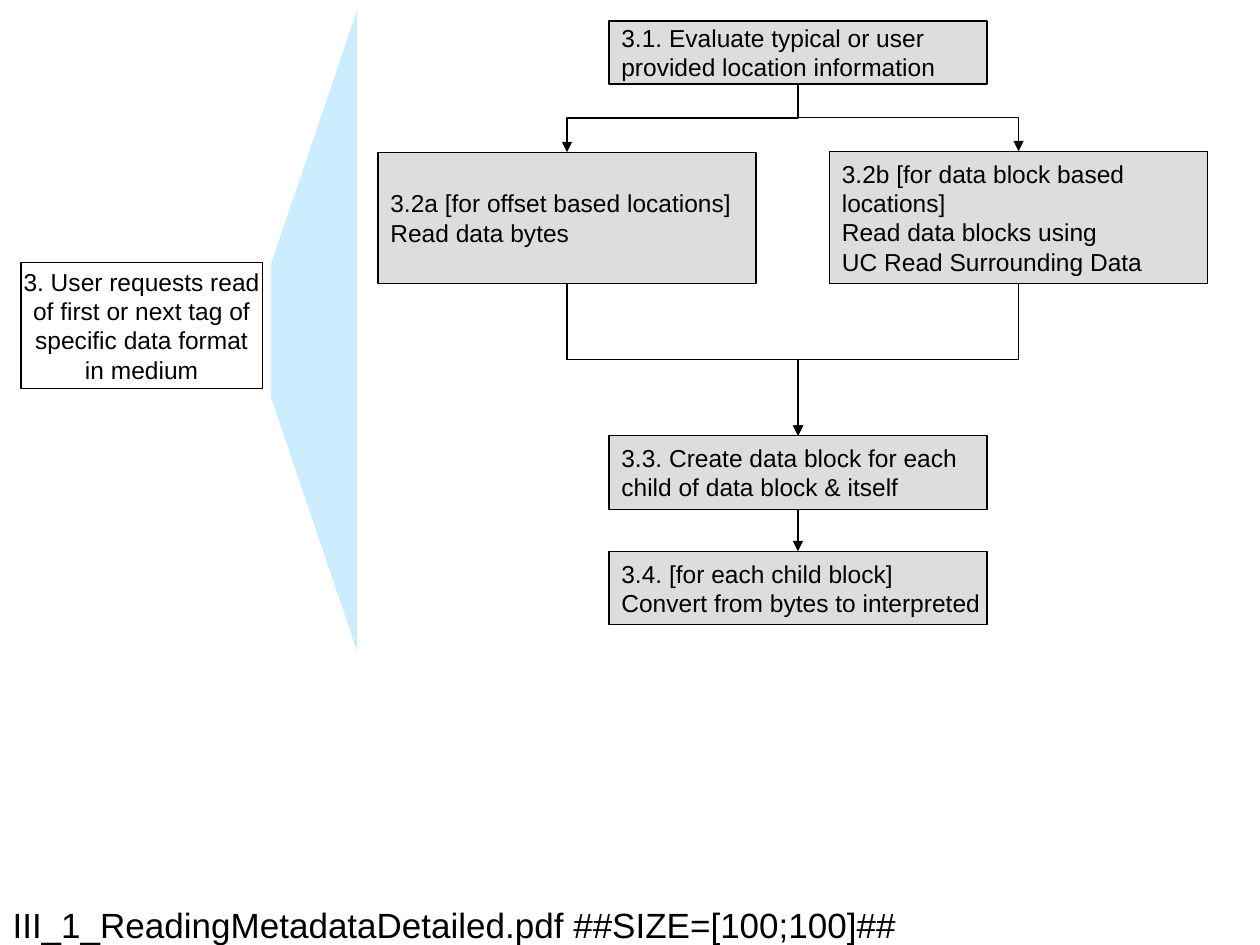
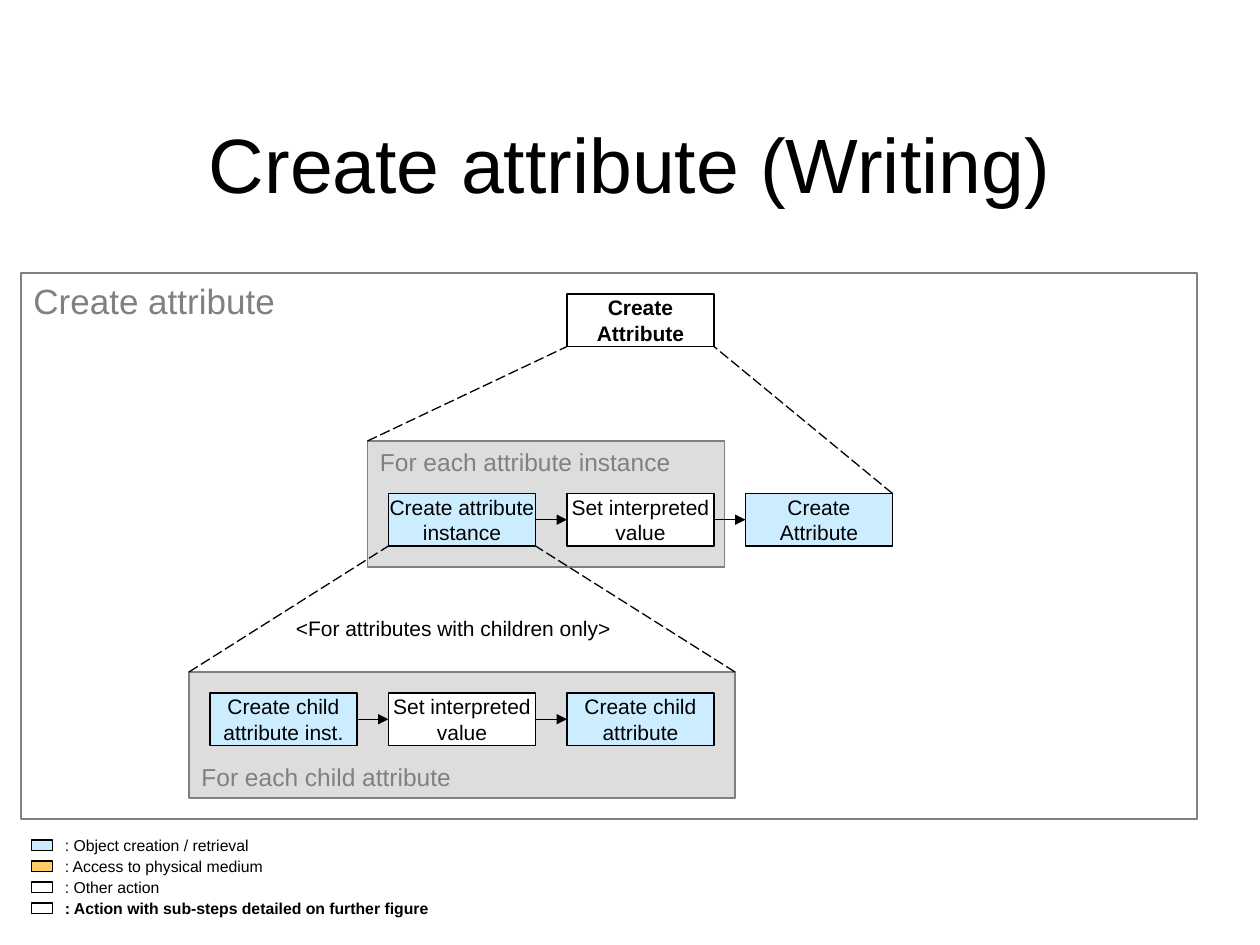
from copy import deepcopy
from dataclasses import dataclass

from lxml import etree
from pptx import Presentation
from pptx import util as u
from pptx.dml.color import RGBColor
from pptx.enum import dml, shapes, text
from pptx.oxml.ns import qn

PX = u.Inches(1) // 120
LEFT, CENTER = text.PP_ALIGN.LEFT, text.PP_ALIGN.CENTER
TOP, MIDDLE, BOTTOM = (text.MSO_ANCHOR.TOP, text.MSO_ANCHOR.MIDDLE,
                       text.MSO_ANCHOR.BOTTOM)


@dataclass(frozen=True)
class Theme:
    font: str = "Arial"
    black: str = "000000"
    white: str = "FFFFFF"
    gray: str = "808080"
    panel: str = "DDDDDD"
    blue: str = "CCECFF"
    orange: str = "FFCC66"
    title: int = 44
    heading: int = 20
    body: int = 14
    step: int = 12
    legend: int = 9
    line: float = 0.75


T = Theme()


def rgb(color):
    return RGBColor.from_string(color)


def place(sp, x, y, w, h):
    sp.left, sp.top, sp.width, sp.height = (v * PX for v in (x, y, w, h))


def write(tf, content, size=T.body, color=T.black, bold=False, align=LEFT,
          anchor=MIDDLE, wrap=False):
    """Fill a text frame; \\n starts a paragraph and \\v breaks a line."""
    tf.text = content
    tf.word_wrap = wrap
    tf.auto_size = text.MSO_AUTO_SIZE.NONE
    tf.vertical_anchor = anchor
    for p in tf.paragraphs:
        p.alignment = align
        for r in p.runs:
            r.font.name, r.font.size, r.font.bold = T.font, u.Pt(size), bold
            r.font.color.rgb = rgb(color)
        for br in p._p.findall(qn("a:br")):
            br.append(deepcopy(p.runs[0]._r.rPr))


def title(s, content, bounds, **fmt):
    sp = s.shapes.title
    place(sp, *bounds)
    write(sp.text_frame, content, wrap=True, **fmt)


def paint(sp, fill, line):
    sp.shadow.inherit = False
    if fill:
        sp.fill.solid()
        sp.fill.fore_color.rgb = rgb(fill)
    else:
        sp.fill.background()
    if line:
        sp.line.color.rgb = rgb(line)
        sp.line.width = u.Pt(T.line)
    else:
        sp.line.fill.background()


def box(s, bounds, content="", fill=None, line=T.black, **fmt):
    sp = s.shapes.add_shape(shapes.MSO_SHAPE.RECTANGLE, *(v * PX for v in bounds))
    paint(sp, fill, line)
    if content:
        write(sp.text_frame, content, **fmt)
    return sp


def label(s, bounds, content, **fmt):
    sp = s.shapes.add_textbox(*(v * PX for v in bounds))
    write(sp.text_frame, content, **fmt)


def polygon(s, points, fill):
    fb = s.shapes.build_freeform(*points[0], scale=PX)
    fb.add_line_segments(points[1:], close=True)
    paint(fb.convert_to_shape(), fill, None)


def connector(s, kind, ends=(0, 0, 0, 0), dash=None, arrow=False):
    c = s.shapes.add_connector(kind, *ends)
    c.line.color.rgb = rgb(T.black)
    c.line.width = u.Pt(T.line)
    if dash:
        c.line.dash_style = dash
    spPr = c._element.spPr
    if arrow:
        etree.SubElement(spPr.find(qn("a:ln")), qn("a:tailEnd"), type="triangle")
    etree.SubElement(spPr, qn("a:effectLst"))
    return c


def arrow(s, start, end, sides=(3, 1), kind=shapes.MSO_CONNECTOR.STRAIGHT):
    c = connector(s, kind, arrow=True)
    c.begin_connect(start, sides[0])
    c.end_connect(end, sides[1])
    return c


def elbow_down(s, start, end):
    """Arrow from a bottom side to a top side, with a level middle part."""
    c = arrow(s, start, end, (2, 0), shapes.MSO_CONNECTOR.ELBOW)
    x1, y1, x2, y2 = c.begin_x, c.begin_y, c.end_x, c.end_y
    rise, run = y2 - y1, abs(x2 - x1)
    c.left, c.top = (x1 + x2 - rise) // 2, (y1 + y2 - run) // 2
    c.width, c.height = rise, run
    rightward = x2 > x1
    xfrm = c._element.spPr.find(qn("a:xfrm"))
    xfrm.set("rot", str((270 if rightward else 90) * 60000))
    xfrm.set("flipH", str(int(rightward)))
    xfrm.set("flipV", "0")


def zoom_lines(s, parent, first, last):
    """Dashed lines from the parent's lower corners to the detail's upper ones."""
    bottom = parent.top + parent.height
    for ends in ((first.left, first.top, parent.left, bottom),
                 (last.left + last.width, last.top,
                  parent.left + parent.width, bottom)):
        connector(s, shapes.MSO_CONNECTOR.STRAIGHT, ends, dash=dml.MSO_LINE.LONG_DASH)


def step(s, column, y, content, fill=T.white, bold=False):
    return box(s, (200 + 170 * column, y, 140, 50), content, fill,
               size=T.step, bold=bold, align=CENTER)


def reading_slide(s):
    title(s, "III_1_ReadingMetadataDetailed.pdf ##SIZE=[100;100]##",
          (0, 860, 1200, 40), size=T.heading)
    box(s, (20, 250, 230, 120),
        "3. User requests read\vof first or next tag of\v"
        "specific data format\vin medium", align=CENTER)
    polygon(s, [(340, 10), (258, 252), (258, 378), (340, 620)], T.blue)

    evaluate, offset, block, create, convert = (
        box(s, (x, y, 360, h), content, T.panel) for x, y, h, content in (
            (580, 20, 60, "3.1. Evaluate typical or user\nprovided location information"),
            (360, 145, 125, "3.2a [for offset based locations]\vRead data bytes"),
            (790, 144, 126, "3.2b [for data block based\vlocations]\v"
                            "Read data blocks using\vUC Read Surrounding Data"),
            (580, 415, 70, "3.3. Create data block for each\vchild of data block & itself"),
            (580, 525, 70, "3.4. [for each child block]\vConvert from bytes to interpreted"),
        ))
    for branch in (offset, block):
        elbow_down(s, evaluate, branch)
        elbow_down(s, branch, create)
    arrow(s, create, convert, (2, 0))


def writing_slide(s):
    title(s, "Create attribute (Writing)", (90, 80, 1020, 150),
          size=T.title, align=CENTER)
    box(s, (20, 260, 1120, 520), "Create attribute", line=T.gray,
        size=T.heading, color=T.gray, anchor=TOP)

    instance_panel = box(s, (350, 420, 340, 120), "For each attribute instance",
                         T.panel, T.gray, color=T.gray, anchor=TOP)
    root = step(s, 2, 280, "Create\vAttribute", bold=True)
    instance = step(s, 1, 470, "Create attribute\vinstance", T.blue)
    value = step(s, 2, 470, "Set interpreted\vvalue")
    attribute = step(s, 3, 470, "Create\vAttribute", T.blue)
    zoom_lines(s, root, instance_panel, attribute)

    child_panel = box(s, (180, 640, 520, 120), "For each child attribute",
                      T.panel, T.gray, color=T.gray, anchor=BOTTOM)
    label(s, (270, 580, 324, 36), "<For attributes with children only>",
          size=T.step, anchor=TOP)
    zoom_lines(s, instance, child_panel, child_panel)
    child_instance = step(s, 0, 660, "Create child\vattribute inst.", T.blue)
    child_value = step(s, 1, 660, "Set interpreted\vvalue")
    child = step(s, 2, 660, "Create child\vattribute", T.blue)

    for first, second, third in ((instance, value, attribute),
                                 (child_instance, child_value, child)):
        arrow(s, first, second)
        arrow(s, second, third)

    legend = (
        (T.blue, 130, ": Object creation / retrieval", False),
        (T.orange, 250, ": Access to physical medium", False),
        (T.white, 230, ": Other action", False),
        (T.white, 350, ": Action with sub-steps detailed on further figure", True),
    )
    for i, (fill, width, meaning, bold) in enumerate(legend):
        box(s, (30, 800 + 20 * i, 20, 10), fill=fill)
        label(s, (50, 790 + 20 * i, width, 30), meaning, size=T.legend, bold=bold)


def main():
    prs = Presentation()
    prs.slide_width, prs.slide_height = 1200 * PX, 900 * PX
    title_only = prs.slide_layouts[5]
    for build in (reading_slide, writing_slide):
        build(prs.slides.add_slide(title_only))
    prs.save("out.pptx")


if __name__ == "__main__":
    main()
